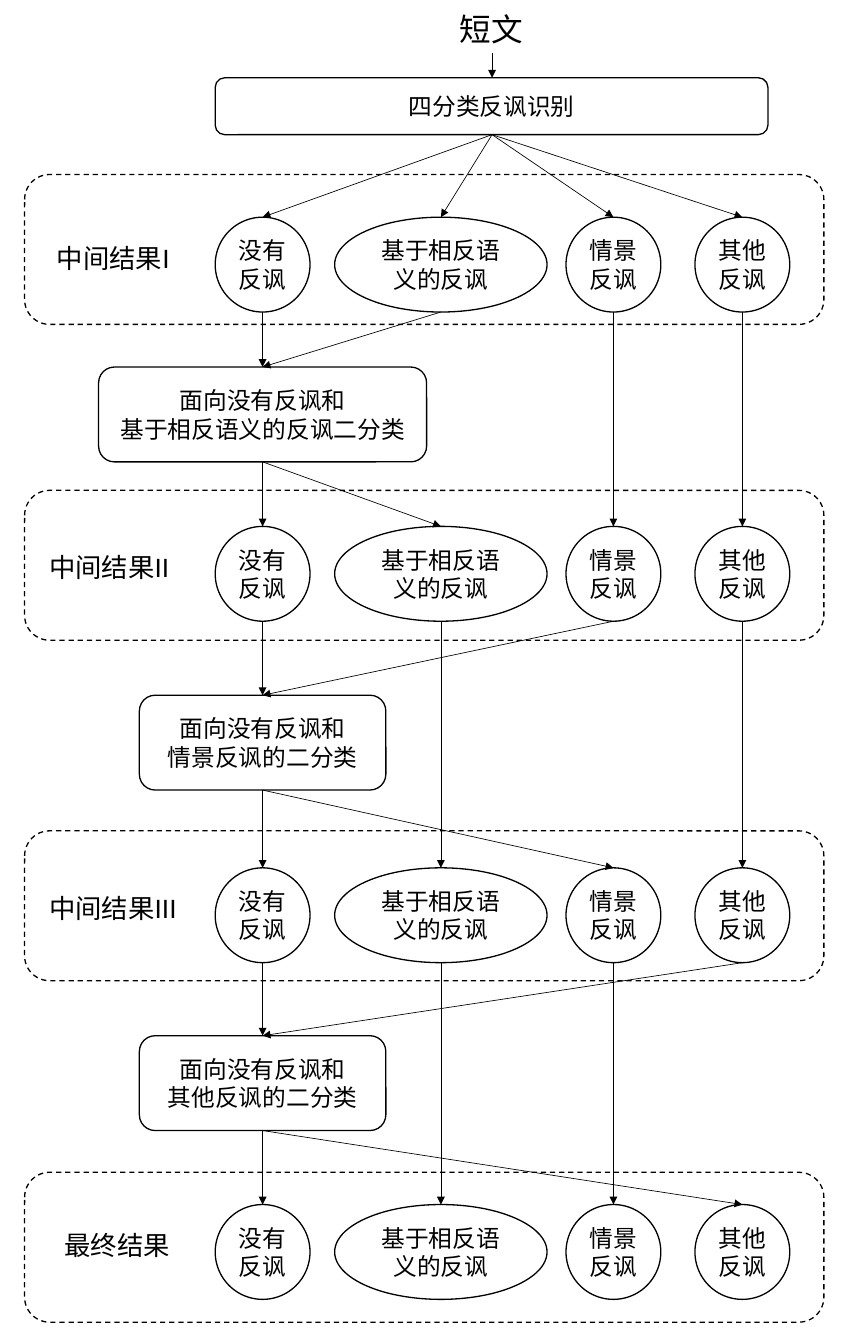
from lxml import etree
from pptx import Presentation
from pptx import util as u
from pptx.dml.color import RGBColor
from pptx.enum import dml, shapes, text
from pptx.oxml import ns

THEME = {
    "ink": RGBColor(0, 0, 0), "paper": RGBColor(255, 255, 255),
    "node_font": "Calibri", "label_font": "Arial",
    "title_pt": 24, "label_pt": 20, "node_pt": 18,
    "outline_pt": 1, "arrow_pt": 0.5,
}
ROUND, OVAL = shapes.MSO_SHAPE.ROUNDED_RECTANGLE, shapes.MSO_SHAPE.OVAL

prs = Presentation()
prs.slide_width, prs.slide_height = u.Inches(9.06), u.Inches(14.17)
s = prs.slides.add_slide(prs.slide_layouts[6])


def add_block(content, x, y, w, h, kind=None, filled=True, inset=0.1,
              font=THEME["node_font"], size=THEME["node_pt"]):
    """Add a preset shape, or a free text box when kind is None."""
    box = [u.Inches(v) for v in (x, y, w, h)]
    if kind is None:
        sp = s.shapes.add_textbox(*box)
    else:
        sp = s.shapes.add_shape(kind, *box)
        sp.shadow.inherit = False
        sp.line.color.rgb = THEME["ink"]
        sp.line.width = u.Pt(THEME["outline_pt"])
        if filled:
            sp.fill.solid()
            sp.fill.fore_color.rgb = THEME["paper"]
        else:
            sp.fill.background()
            sp.line.dash_style = dml.MSO_LINE.DASH
    tf = sp.text_frame
    tf.word_wrap = kind is not None
    if kind is None:
        tf.auto_size = text.MSO_AUTO_SIZE.SHAPE_TO_FIT_TEXT
    else:
        tf.vertical_anchor = text.MSO_ANCHOR.MIDDLE
        tf.margin_left = tf.margin_right = u.Inches(inset)
    tf.text = content
    for p in tf.paragraphs:
        p.alignment = text.PP_ALIGN.LEFT if kind is None else text.PP_ALIGN.CENTER
        for r in p.runs:
            r.font.name, r.font.size = font, u.Pt(size)
            r.font.color.rgb = THEME["ink"]
    return sp


def add_arrow(x1, y1, x2, y2):
    c = s.shapes.add_connector(shapes.MSO_CONNECTOR.STRAIGHT,
                               *[u.Inches(v) for v in (x1, y1, x2, y2)])
    c.line.color.rgb = THEME["ink"]
    c.line.width = u.Pt(THEME["arrow_pt"])
    etree.SubElement(c.line._get_or_add_ln(), ns.qn("a:tailEnd"), type="triangle")
    etree.SubElement(c._element.spPr, ns.qn("a:effectLst"))


# Columns: centre, width and class name
columns = [(2.77, 1, "没有反讽"), (4.65, 2.24, "基于相反语义的反讽"),
           (6.47, 1, "情景反讽"), (7.83, 1, "其他反讽")]
centres = [cx for cx, _, _ in columns]
# Rows: frame top, ellipse top, label left, label width, label
stages = [(1.84, 2.29, 0.5, 1.46, "中间结果I"),
          (5.17, 5.55, 0.42, 1.6, "中间结果II"),
          (8.76, 9.15, 0.42, 1.74, "中间结果III"),
          (12.36, 12.7, 0.58, 1.32, "最终结果")]
# Binary classifiers between rows: top, width, second line
classifiers = [(3.87, 3.46, "基于相反语义的反讽二分类"),
               (7.33, 2.6, "情景反讽的二分类"),
               (10.92, 2.6, "其他反讽的二分类")]
NODE_H = 1
MAIN = centres[0]

# Input and four-way classifier
ROOT_X, ROOT_Y, ROOT_W, ROOT_H = 5.19, 0.82, 5.83, 0.6
add_block("短文", 4.75, 0.06, 0.88, 0.5, size=THEME["title_pt"])
add_arrow(ROOT_X, 0.56, ROOT_X, ROOT_Y)
add_block("四分类反讽识别", 2.27, ROOT_Y, ROOT_W, ROOT_H, kind=ROUND)
for cx in centres:
    add_arrow(ROOT_X, ROOT_Y + ROOT_H, cx, stages[0][1])

# Result rows
for frame_y, node_y, label_x, label_w, label in stages:
    add_block("", 0.26, frame_y, 8.43, 1.58, kind=ROUND, filled=False)
    add_block(label, label_x, node_y + 0.21, label_w, 0.44,
              font=THEME["label_font"], size=THEME["label_pt"])
    for cx, w, name in columns:
        add_block(name, cx - w / 2, node_y, w, NODE_H, kind=OVAL, inset=0.08)

# Each classifier re-judges the first class and one other; the rest pass down
for i, (y, w, task) in enumerate(classifiers):
    add_block("面向没有反讽和\n" + task, MAIN - w / 2, y, w, NODE_H, kind=ROUND)
    start, end = stages[i][1] + NODE_H, stages[i + 1][1]
    for col, cx in enumerate(centres):
        if col in (0, i + 1):
            add_arrow(cx, start, MAIN, y)
            add_arrow(MAIN, y + NODE_H, cx, end)
        else:
            add_arrow(cx, start, cx, end)

prs.save("out.pptx")
